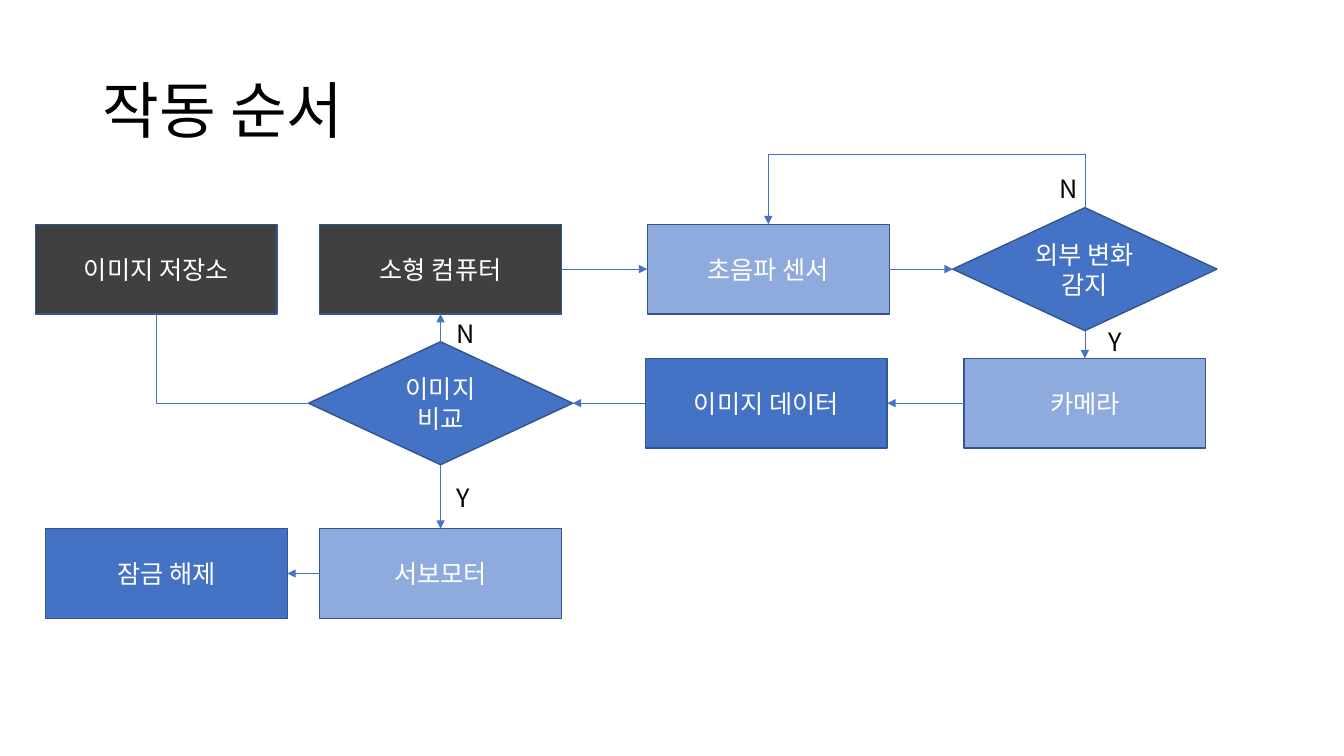
from dataclasses import dataclass
from typing import Optional

from lxml.etree import SubElement
from pptx import Presentation
from pptx.dml.color import RGBColor
from pptx.enum.shapes import MSO_CONNECTOR, MSO_SHAPE
from pptx.enum.text import MSO_ANCHOR, MSO_AUTO_SIZE, PP_ALIGN
from pptx.oxml.ns import qn
from pptx.util import Inches, Pt

FONT = "Noto Sans CJK KR"
BLUE, LIGHT, DARK = "4472C4", "8FAADC", "404040"
OUTLINE, WHITE, BLACK = "325491", "FFFFFF", "000000"

# Grid: centre lines of columns and rows, in inches
COLS = {"storage": 1.55, "unlock": 1.65, "control": 4.37,
        "data": 7.6, "sensor": 7.62, "detect": 10.76}
ROWS = {"loop": 1.53, "sense": 2.67, "compare": 4.0, "act": 5.69}
BOX, DIAMOND = (2.4, 0.89), (2.62, 1.22)
TOP, LEFT, BOTTOM, RIGHT = range(4)  # connection sites


@dataclass
class Node:
    name: str
    text: str
    col: str
    row: str
    fill: str = BLUE
    decision: bool = False


@dataclass
class Link:
    start: str
    start_site: int
    end: str
    end_site: int
    corners: tuple = ()  # (column, row) turning points
    arrow: bool = True


@dataclass
class Label:
    text: str
    left: float
    top: float


NODES = [
    Node("storage", "이미지 저장소", "storage", "sense", DARK),
    Node("board", "소형 컴퓨터", "control", "sense", DARK),
    Node("sonar", "초음파 센서", "sensor", "sense", LIGHT),
    Node("detect", "외부 변화 감지", "detect", "sense", decision=True),
    Node("compare", "이미지\n비교", "control", "compare", decision=True),
    Node("data", "이미지 데이터", "data", "compare"),
    Node("camera", "카메라", "detect", "compare", LIGHT),
    Node("servo", "서보모터", "control", "act", LIGHT),
    Node("unlock", "잠금 해제", "unlock", "act"),
]
LINKS = [
    Link("board", RIGHT, "sonar", LEFT),
    Link("sonar", RIGHT, "detect", LEFT),
    Link("detect", TOP, "sonar", TOP, (("detect", "loop"), ("sensor", "loop"))),
    Link("detect", BOTTOM, "camera", TOP),
    Link("camera", LEFT, "data", RIGHT),
    Link("data", LEFT, "compare", RIGHT),
    Link("compare", TOP, "board", BOTTOM),
    Link("compare", BOTTOM, "servo", TOP),
    Link("servo", LEFT, "unlock", RIGHT),
    Link("storage", BOTTOM, "compare", LEFT, (("storage", "compare"),), arrow=False),
]
LABELS = [Label("N", 10.41, 1.67), Label("N", 4.43, 3.11),
          Label("Y", 4.43, 4.74), Label("Y", 10.9, 3.19)]


def rgb(value: str) -> RGBColor:
    return RGBColor.from_string(value)


def write(tf, text: str, *, size: float = 18, color: str = BLACK,
          align=PP_ALIGN.LEFT, anchor=MSO_ANCHOR.TOP, wrap: bool = True,
          auto_size=MSO_AUTO_SIZE.NONE, spacing: Optional[float] = None) -> None:
    tf.word_wrap, tf.auto_size, tf.vertical_anchor = wrap, auto_size, anchor
    for i, line in enumerate(text.split("\n")):
        p = tf.add_paragraph() if i else tf.paragraphs[0]
        p.alignment, p.line_spacing = align, spacing
        r = p.add_run()
        r.text = line
        r.font.size, r.font.name = Pt(size), FONT
        r.font.color.rgb = rgb(color)
        SubElement(r.font._element, qn("a:ea"), typeface=FONT)


def add_node(slide, node: Node):
    w, h = DIAMOND if node.decision else BOX
    kind = MSO_SHAPE.FLOWCHART_DECISION if node.decision else MSO_SHAPE.RECTANGLE
    sp = slide.shapes.add_shape(kind, Inches(COLS[node.col] - w / 2),
                                Inches(ROWS[node.row] - h / 2), Inches(w), Inches(h))
    sp.shadow.inherit = False
    sp.fill.solid()
    sp.fill.fore_color.rgb = rgb(node.fill)
    sp.line.color.rgb = rgb(OUTLINE)
    sp.line.width = Pt(1)
    write(sp.text_frame, node.text, color=WHITE, align=PP_ALIGN.CENTER,
          anchor=MSO_ANCHOR.MIDDLE)
    return sp


def add_link(slide, link: Link, shapes: dict) -> None:
    corners = [(Inches(COLS[c]), Inches(ROWS[r])) for c, r in link.corners]
    stops = [(0, 0), *corners, (0, 0)]  # both ends are set by the glued shapes
    last = len(stops) - 2
    for i, (start, end) in enumerate(zip(stops, stops[1:])):
        line = slide.shapes.add_connector(MSO_CONNECTOR.STRAIGHT, *start, *end)
        if i == 0:
            line.begin_connect(shapes[link.start], link.start_site)
        if i == last:
            line.end_connect(shapes[link.end], link.end_site)
        line.line.color.rgb = rgb(BLUE)
        line.line.width = Pt(0.5)
        if link.arrow and i == last:
            SubElement(line.line._get_or_add_ln(), qn("a:tailEnd"), type="triangle")
        SubElement(line._element.spPr, qn("a:effectLst"))


def add_label(slide, label: Label) -> None:
    sp = slide.shapes.add_textbox(Inches(label.left), Inches(label.top),
                                  Inches(0.37), Inches(0.4))
    write(sp.text_frame, label.text, wrap=False,
          auto_size=MSO_AUTO_SIZE.SHAPE_TO_FIT_TEXT)


def main() -> None:
    prs = Presentation()
    prs.slide_width, prs.slide_height = Inches(13.33), Inches(7.5)
    slide = prs.slides.add_slide(prs.slide_layouts[5])

    # Title
    title = slide.shapes.title
    title.left, title.top = Inches(0.92), Inches(0.4)
    title.width, title.height = Inches(11.5), Inches(1.45)
    write(title.text_frame, "작동 순서", size=44, anchor=MSO_ANCHOR.MIDDLE, spacing=0.9)

    # Flow chart
    shapes = {node.name: add_node(slide, node) for node in NODES}
    for link in LINKS:
        add_link(slide, link, shapes)
    for label in LABELS:
        add_label(slide, label)

    prs.save("out.pptx")


if __name__ == "__main__":
    main()
